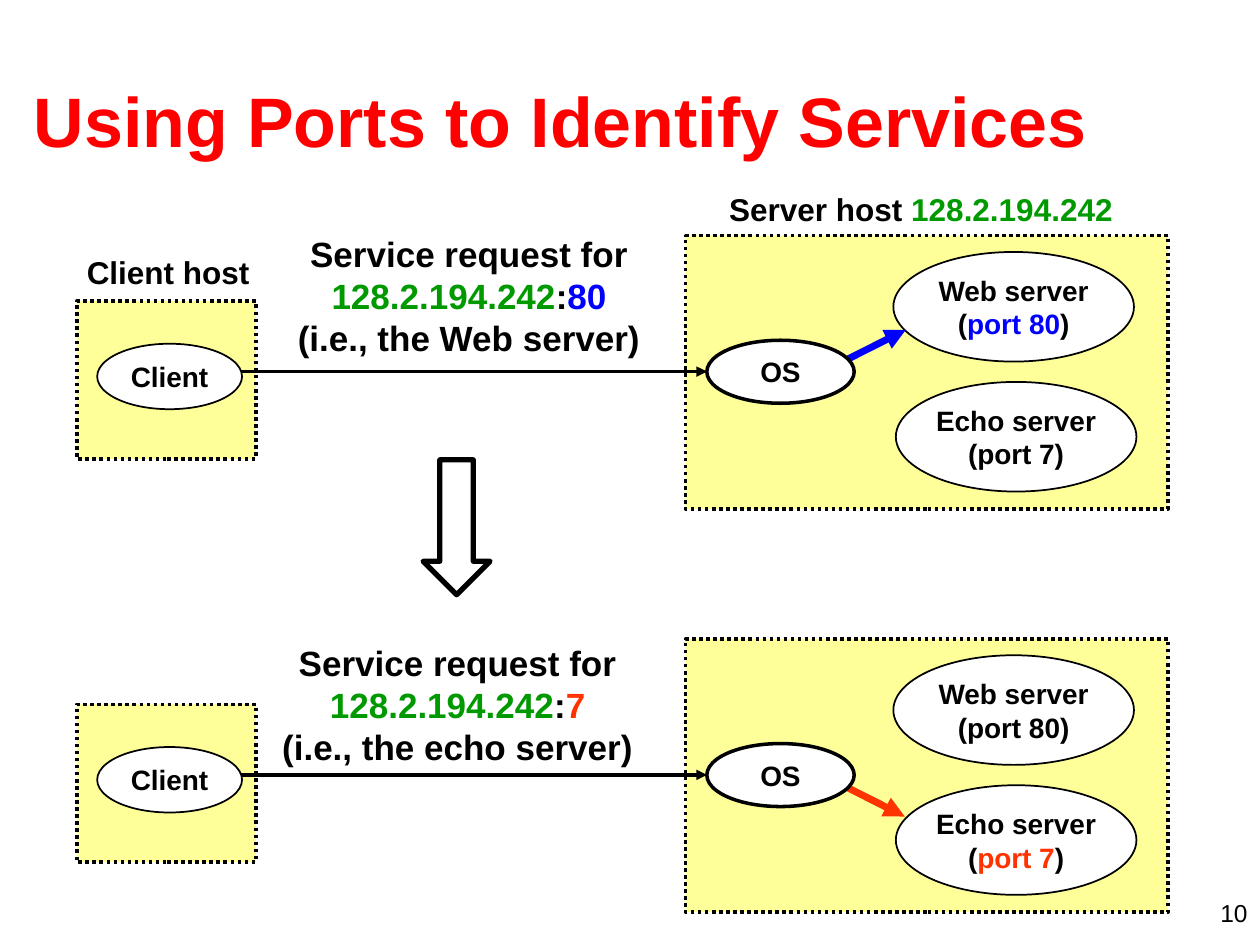
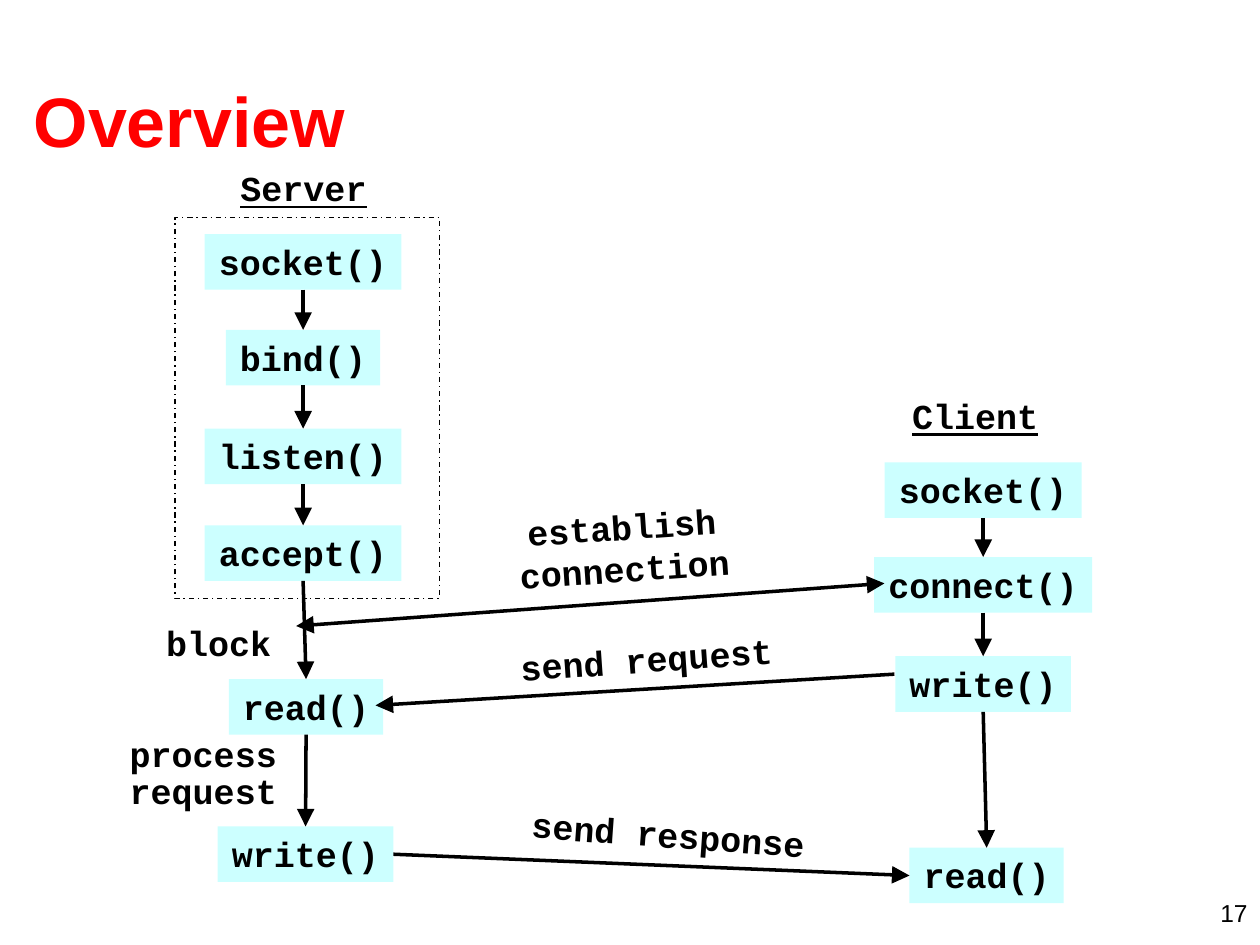
from itertools import pairwise

from lxml import etree
from pptx import Presentation
from pptx.dml.color import RGBColor
from pptx.enum.dml import MSO_LINE
from pptx.enum.shapes import MSO_CONNECTOR, MSO_SHAPE
from pptx.enum.text import MSO_ANCHOR, MSO_AUTO_SIZE, PP_ALIGN
from pptx.oxml.ns import qn
from pptx.util import Cm, Pt

BLACK, WHITE, RED = "000000", "FFFFFF", "FF0000"
BLUE, GREEN, ORANGE = "0000FF", "009900", "FF3300"
HOST_FILL, CALL_FILL = "FFFF99", "CCFFFF"
SANS, MONO = "Arial", "Courier New"
SERVER_ADDRESS = ("128.2.194.242", GREEN)
BOTTOM, LEFT, RIGHT, TOP = 2, 1, 3, 0


def rgb(value):
    return RGBColor.from_string(value)


# Elements
def write(shape, lines, size=16, font=SANS, color=BLACK, bold=True,
          underline=False, align=PP_ALIGN.CENTER, anchor=MSO_ANCHOR.TOP,
          wrap=False, spacing=None):
    """Each line is a string or a list of strings and (string, colour) pairs."""
    frame = shape.text_frame
    frame.word_wrap = wrap
    frame.vertical_anchor = anchor
    for number, line in enumerate(lines):
        paragraph = frame.paragraphs[0] if number == 0 else frame.add_paragraph()
        paragraph.alignment = align
        if spacing:
            paragraph.line_spacing = spacing
        for part in [line] if isinstance(line, str) else line:
            words, tint = (part, color) if isinstance(part, str) else part
            run = paragraph.add_run()
            run.text = words
            run.font.name, run.font.size = font, Pt(size)
            run.font.bold, run.font.underline = bold, underline
            run.font.color.rgb = rgb(tint)
    return shape


def add_label(slide, left, top, width, height, lines, wrap=False, **text_format):
    label = slide.shapes.add_textbox(Cm(left), Cm(top), Cm(width), Cm(height))
    if not wrap:
        label.text_frame.auto_size = MSO_AUTO_SIZE.SHAPE_TO_FIT_TEXT
    return write(label, lines, wrap=wrap, **text_format)


def add_figure(slide, kind, left, top, width, height, fill=None,
               line_width=None, dash=None):
    figure = slide.shapes.add_shape(kind, Cm(left), Cm(top), Cm(width), Cm(height))
    figure.shadow.inherit = False
    if fill:
        figure.fill.solid()
        figure.fill.fore_color.rgb = rgb(fill)
    else:
        figure.fill.background()
    if line_width:
        figure.line.color.rgb = rgb(BLACK)
        figure.line.width = Pt(line_width)
        if dash:
            figure.line.dash_style = dash
    else:
        figure.line.fill.background()
    return figure


def add_oval(slide, left, top, width, height, lines, line_width=1):
    oval = add_figure(slide, MSO_SHAPE.OVAL, left, top, width, height,
                      WHITE, line_width)
    return write(oval, lines, anchor=MSO_ANCHOR.MIDDLE)


def add_arrow(slide, start=(0, 0), end=(0, 0), color=BLACK, width=2,
              head_size="lg", both_ways=False):
    arrow = slide.shapes.add_connector(
        MSO_CONNECTOR.STRAIGHT, *(Cm(length) for length in (*start, *end)))
    arrow.line.color.rgb = rgb(color)
    arrow.line.width = Pt(width)
    outline = arrow.line._get_or_add_ln()
    for tag in ["a:headEnd"] * both_ways + ["a:tailEnd"]:
        etree.SubElement(outline, qn(tag), type="triangle",
                         w=head_size, len=head_size)
    etree.SubElement(arrow._element.spPr, qn("a:effectLst"))
    return arrow


def join(slide, source, source_side, target, target_side):
    arrow = add_arrow(slide)
    arrow.begin_connect(source, source_side)
    arrow.end_connect(target, target_side)


def mono_frame(center, top, lines, height):
    """Frame with a little slack around the longest line of 20 pt text."""
    width = 0.43 * max(map(len, lines)) + 0.53
    return center - width / 2, top, width, height


def add_call(slide, center, top, name):
    call = add_figure(slide, MSO_SHAPE.RECTANGLE,
                      *mono_frame(center, top, [name], 1.12), fill=CALL_FILL)
    return write(call, [name], size=20, font=MONO)


def add_mono_label(slide, center, top, lines, height=1.12, rotation=0, **text_format):
    label = add_label(slide, *mono_frame(center, top, lines, height), lines,
                      size=20, font=MONO, **text_format)
    label.rotation = rotation


def add_base_slide(deck, title, number):
    slide = deck.slides.add_slide(deck.slide_layouts[6])
    add_label(slide, 0.43, 0.81, 24.33, 3.18, [title], size=40, color=RED,
              align=PP_ALIGN.LEFT, anchor=MSO_ANCHOR.MIDDLE, wrap=True)
    add_label(slide, 19.48, 17.98, 5.92, 0.64, [str(number)], size=14,
              bold=False, align=PP_ALIGN.RIGHT, wrap=True)
    return slide


# Slide: ports
def add_request_scene(slide, offset, request_frame, port, service, port_color,
                      web_color, echo_color, dispatch_start, dispatch_end):
    """Client and server hosts, moved down by offset."""
    for left, top, width, height in ((1.55, 6.07, 3.61, 3.18),
                                     (13.82, 4.75, 9.73, 5.51)):
        add_figure(slide, MSO_SHAPE.RECTANGLE, left, top + offset, width, height,
                   HOST_FILL, 2, MSO_LINE.ROUND_DOT)
    add_oval(slide, 18.01, 5.08 + offset, 4.85, 2.21,
             ["Web server", ["(", ("port 80", web_color), ")"]])
    add_oval(slide, 18.06, 7.7 + offset, 4.85, 2.21,
             ["Echo server", ["(", ("port 7", echo_color), ")"]])
    left, top, width = request_frame
    add_label(slide, left, top + offset, width, 2.79,
              ["Service request for", [SERVER_ADDRESS, ":", (port, port_color)],
               f"(i.e., the {service} server)"], size=20)
    add_arrow(slide, (4.72, 7.49 + offset), (14.25, 7.49 + offset), head_size="med")
    (start_x, start_y), (end_x, end_y) = dispatch_start, dispatch_end
    add_arrow(slide, (start_x, start_y + offset), (end_x, end_y + offset),
              port_color, 4, "med")
    add_oval(slide, 14.25, 6.86 + offset, 2.97, 1.27, ["OS"], line_width=2)
    add_oval(slide, 1.96, 6.93 + offset, 2.92, 1.32, ["Client"])


def build_ports(deck):
    slide = add_base_slide(deck, "Using Ports to Identify Services", 10)
    add_label(slide, 1.5, 4.98, 3.78, 1.02, ["Client host"], size=18,
              align=PP_ALIGN.LEFT)
    add_label(slide, 14.45, 3.71, 8.23, 1.02, [["Server host ", SERVER_ADDRESS]],
              size=18, align=PP_ALIGN.LEFT)
    add_request_scene(slide, 0, (5.38, 4.57, 8.15), "80", "Web", BLUE,
                      BLUE, BLACK, (16.99, 7.29), (18.26, 6.65))
    add_request_scene(slide, 8.13, (5.3, 4.67, 7.85), "7", "echo", ORANGE,
                      BLACK, ORANGE, (16.97, 7.69), (18.24, 8.33))
    add_figure(slide, MSO_SHAPE.DOWN_ARROW, 8.53, 9.27, 1.35, 2.72, line_width=3)


# Slide: call sequence
def add_call_chain(slide, calls):
    chain = [add_call(slide, *call) for call in calls]
    for upper, lower in pairwise(chain):
        join(slide, upper, BOTTOM, lower, TOP)
    return chain


def build_overview(deck):
    slide = add_base_slide(deck, "Overview", 17)

    # Server and client columns
    server = add_call_chain(slide, [
        (6.11, 4.72, "socket()"), (6.11, 6.65, "bind()"),
        (6.11, 8.64, "listen()"), (6.11, 10.59, "accept()"),
        (6.17, 13.69, "read()"), (6.16, 16.66, "write()")])
    client = add_call_chain(slide, [
        (19.82, 9.32, "socket()"), (19.82, 11.23, "connect()"),
        (19.82, 13.23, "write()"), (19.89, 17.09, "read()")])
    add_figure(slide, MSO_SHAPE.RECTANGLE, 3.53, 4.39, 5.33, 7.67,
               line_width=0.75, dash=MSO_LINE.DASH_DOT)
    add_mono_label(slide, 6.12, 3.23, ["Server"], underline=True)
    add_mono_label(slide, 19.66, 7.82, ["Client"], underline=True)
    add_mono_label(slide, 4.41, 12.4, ["block"])
    add_mono_label(slide, 4.1, 14.73, ["process", "request"], 1.78, spacing=0.9)

    # Messages between the columns
    add_arrow(slide, (17.83, 11.76), (5.97, 12.62), both_ways=True)
    add_mono_label(slide, 12.56, 10.06, ["establish", "connection"], 1.96, -4)
    add_arrow(slide, (18.03, 13.59), (7.57, 14.22))
    add_mono_label(slide, 13.03, 12.73, ["send request"], rotation=-4)
    join(slide, server[-1], RIGHT, client[-1], LEFT)
    add_mono_label(slide, 13.47, 16.26, ["send response"], rotation=4.1)


def main():
    deck = Presentation()
    deck.slide_width, deck.slide_height = Cm(25.4), Cm(19.05)
    build_ports(deck)
    build_overview(deck)
    deck.save("out.pptx")


if __name__ == "__main__":
    main()
